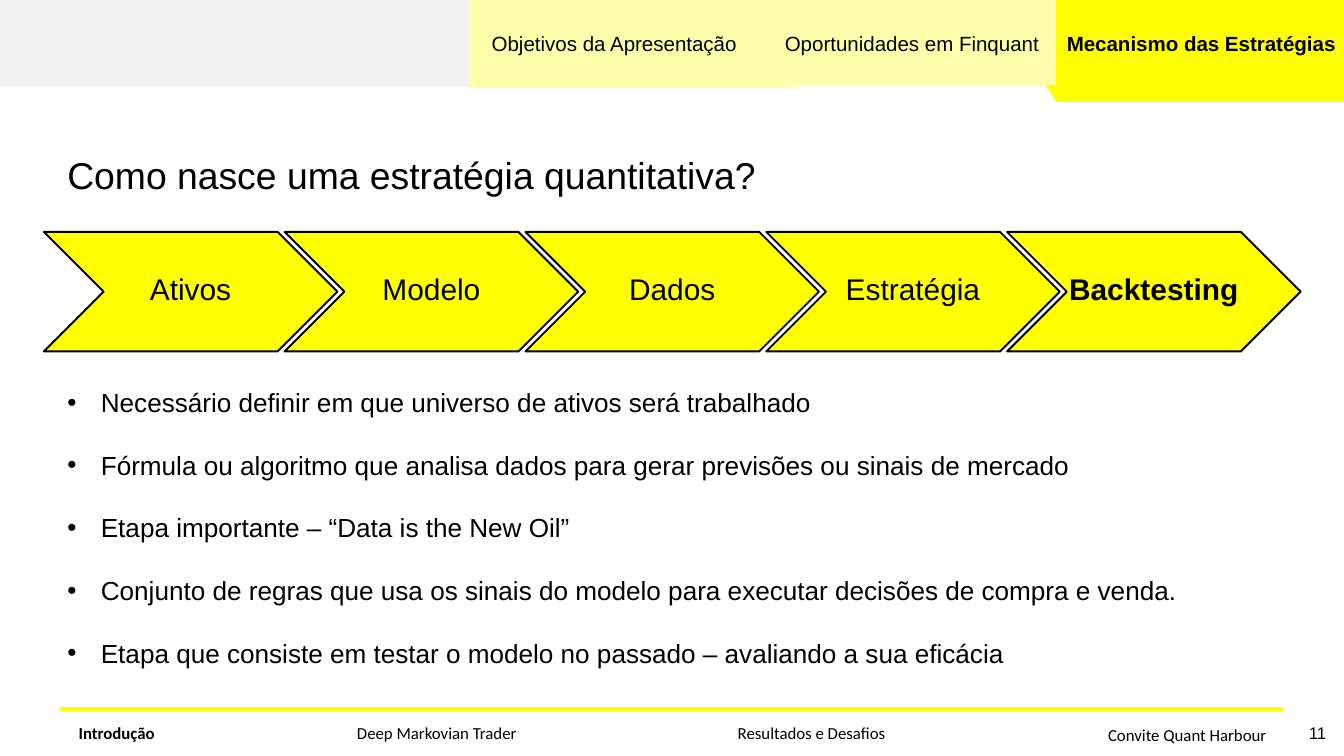
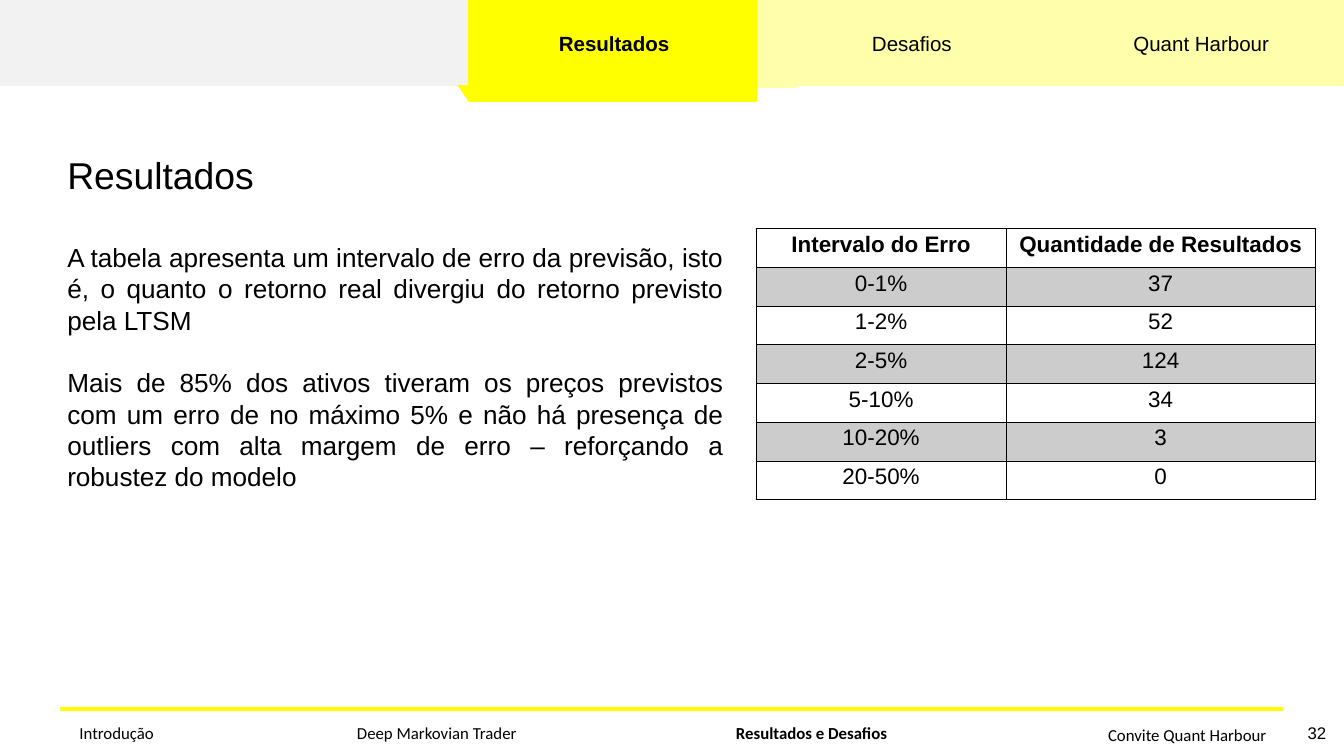
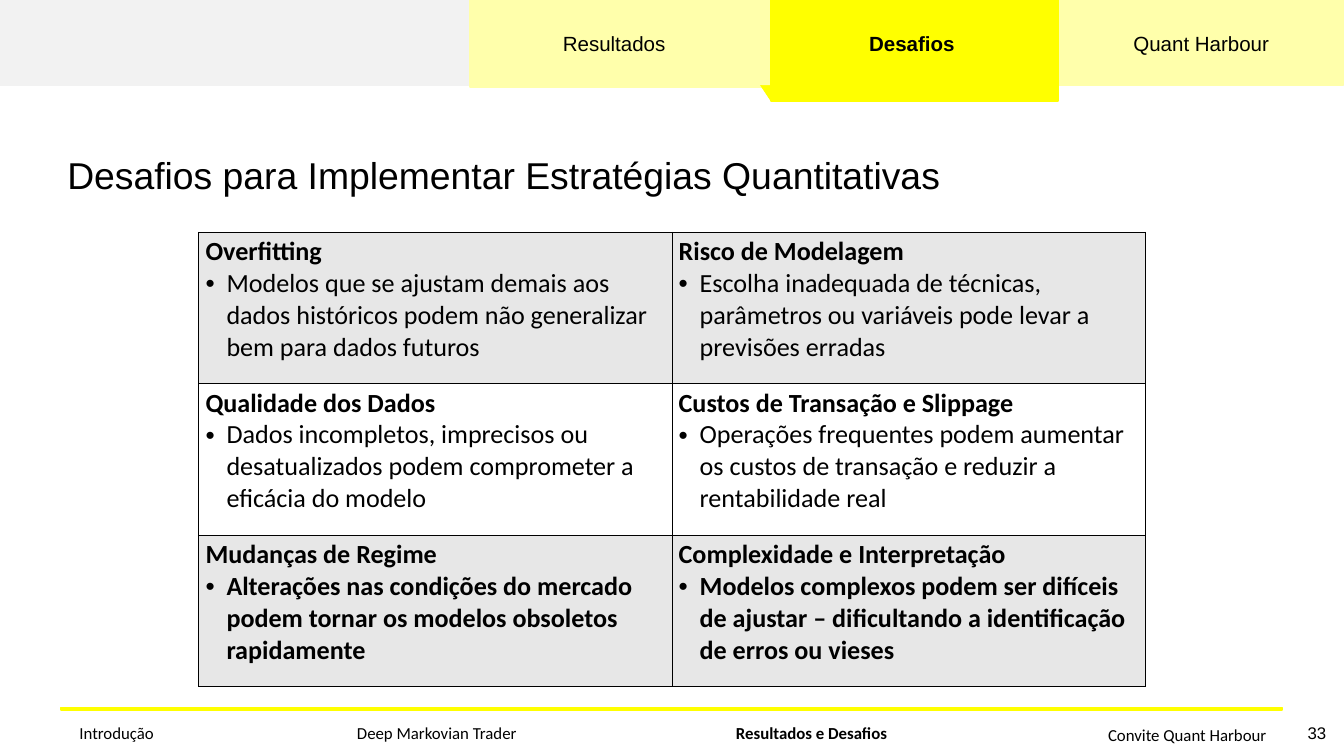
from lxml import etree
from pptx import Presentation
from pptx.dml.color import RGBColor
from pptx.enum import shapes as kinds, text as enums
from pptx.oxml import ns
from pptx.util import Pt

YELLOW, PALE, BAND, BLACK = "FFFF00", "FFFFAB", "F2F2F2", "000000"
GREY, LIGHT, WHITE = "CCCCCC", "E7E7E7", "FFFFFF"
SANS, FOOT = "Arial", "Calibri"
LEFT, CENTER = enums.PP_ALIGN.LEFT, enums.PP_ALIGN.CENTER
RIGHT, JUST = enums.PP_ALIGN.RIGHT, enums.PP_ALIGN.JUSTIFY
RECT, CHEVRON = kinds.MSO_SHAPE.RECTANGLE, kinds.MSO_SHAPE.CHEVRON
LABELS = [504, 823, 1133]
MARKS = [502, 826, 1132]
PARTS = [("Introdução", 65, 771, 120), ("Deep Markovian Trader", 348, 771, 240),
         ("Resultados e Desafios", 749.5, 771, 240),
         ("Convite Quant Harbour", 1152, 772.5, 240)]


def color(code):
    return RGBColor.from_string(code)


def paint(shape, fill, line, width=2):
    shape.shadow.inherit = False
    shape.fill.solid()
    shape.fill.fore_color.rgb = color(fill)
    shape.line.color.rgb = color(line)
    shape.line.width = Pt(width)


def block(slide, kind, box, fill, line=None):
    shape = slide.shapes.add_shape(kind, *map(Pt, box))
    paint(shape, fill, line or fill)


def style(para, size, bold=False, font=SANS, align=LEFT):
    para.alignment = align
    for run in para.runs:
        run.font.size, run.font.bold, run.font.name = Pt(size), bold, font
        run.font.color.rgb = color(BLACK)


def bullet(para, indent):
    """Give the paragraph a round bullet with a hanging indent in points."""
    props = para._p.get_or_add_pPr()
    props.set("marL", str(Pt(indent)))
    props.set("indent", str(-Pt(indent)))
    etree.SubElement(props, ns.qn("a:buFont"), typeface="Arial")
    etree.SubElement(props, ns.qn("a:buChar"), char="•")


def write(slide, box, words, size, bold=False, font=SANS, align=CENTER):
    """Add a text box, one paragraph per line of words, and return its frame."""
    frame = slide.shapes.add_textbox(*map(Pt, box)).text_frame
    frame.word_wrap = True
    frame.text = words
    for para in frame.paragraphs:
        style(para, size, bold, font, align)
    return frame


def space(para, size, after=0):
    para.line_spacing = Pt(size * 1.2)
    para.space_after = Pt(after * 1.2)


def title(slide, words):
    frame = write(slide, (65, 159, 1309, 56), words, 40, align=LEFT)
    space(frame.paragraphs[0], 40)


def header(slide, tabs, now):
    block(slide, RECT, (0, -15, 1440, 106.5), BAND)
    for left, top, width in [(504, -13.5, 348.5), (853, -15, 298), (1140.5, -15, 298)]:
        block(slide, RECT, (left, top, width, 106.5), PALE)
    mark = MARKS[now]
    pen = slide.shapes.build_freeform(Pt(mark), Pt(91.5))
    pen.add_line_segments([(Pt(mark - 11), Pt(91.5)), (Pt(mark), Pt(108))])
    paint(pen.convert_to_shape(), YELLOW, YELLOW, 0.75)
    block(slide, RECT, (mark, -15, 308, 123), YELLOW)
    for i, (left, words) in enumerate(zip(LABELS, tabs)):
        write(slide, (left, 30, 308, 34), words, 22, i == now)


def footer(slide, now, page):
    block(slide, RECT, (65, 758, 1309, 3), YELLOW)
    for i, (words, left, top, width) in enumerate(PARTS):
        write(slide, (left, top, width, 29), words, 18, i == now, FOOT)
    frame = write(slide, (1260, 771, 168, 29), str(page), 18, align=RIGHT)
    frame.vertical_anchor = enums.MSO_ANCHOR.MIDDLE


def border(cell, low=1):
    """Draw black cell edges; low is the width of the bottom one."""
    props = cell._tc.get_or_add_tcPr()
    for i, (tag, width) in enumerate([("lnL", 1), ("lnR", 1), ("lnT", 1), ("lnB", low)]):
        edge = etree.Element(ns.qn("a:" + tag), w=str(Pt(width)))
        fill = etree.SubElement(edge, ns.qn("a:solidFill"))
        etree.SubElement(fill, ns.qn("a:srgbClr"), val=BLACK)
        props.insert(i, edge)


def grid(slide, left, top, widths, height, rows, fills):
    """Add a bordered table with alternating row fills and return it."""
    shape = slide.shapes.add_table(len(rows), len(widths), Pt(left), Pt(top),
                                   Pt(sum(widths)), Pt(height * len(rows)))
    table = shape.table
    table.first_row = table.horz_banding = False
    for col, width in zip(table.columns, widths):
        col.width = Pt(width)
    for i, row in enumerate(rows):
        table.rows[i].height = Pt(height)
        for cell, words in zip(table.rows[i].cells, row):
            cell.text = words
            cell.fill.solid()
            cell.fill.fore_color.rgb = color(fills[i % 2])
    return table


def steps(slide):
    names = [("Ativos", 108), ("Modelo", 145), ("Dados", 145),
             ("Estratégia", 175), ("Backtesting", 199)]
    wide = 314.5
    for i, (name, width) in enumerate(names):
        left = 47 + 258 * i
        block(slide, CHEVRON, (left, 248.5, wide, 128), YELLOW, BLACK)
        write(slide, (left + (wide - width) / 2, 286.5, width, 46), name, 32,
              name == "Backtesting")


def points(slide):
    lines = ["Necessário definir em que universo de ativos será trabalhado",
             "Fórmula ou algoritmo que analisa dados para gerar previsões ou sinais de mercado",
             "Etapa importante – “Data is the New Oil”",
             "Conjunto de regras que usa os sinais do modelo para executar decisões de compra e venda.",
             "Etapa que consiste em testar o modelo no passado – avaliando a sua eficácia"]
    frame = write(slide, (65, 410.5, 1271, 380), "\n".join(lines), 28, align=LEFT)
    for para in frame.paragraphs:
        space(para, 28, 28)
        bullet(para, 36)


def results(slide):
    lines = ["Resultados",
             "A tabela apresenta um intervalo de erro da previsão, isto é, o quanto o retorno "
             "real divergiu do retorno previsto pela LTSM",
             "Mais de 85% dos ativos tiveram os preços previstos com um erro de no máximo 5% e "
             "não há presença de outliers com alta margem de erro – reforçando a robustez do modelo"]
    frame = write(slide, (65, 159, 716.5, 376), "\n".join(lines), 28, align=JUST)
    style(frame.paragraphs[0], 40, align=JUST)
    for para, size in zip(frame.paragraphs, [40, 28, 28]):
        space(para, size, size)


def errors(slide):
    rows = [("Intervalo do Erro", "Quantidade de Resultados"),
            ("0-1%", "37"), ("1-2%", "52"), ("2-5%", "124"),
            ("5-10%", "34"), ("10-20%", "3"), ("20-50%", "0")]
    table = grid(slide, 810, 245, [268, 331], 41.5, rows, [WHITE, GREY])
    for i, row in enumerate(table.rows):
        for cell in row.cells:
            style(cell.text_frame.paragraphs[0], 24, i == 0, align=CENTER)
            border(cell, 2 if i == 0 else 1)


def risks(slide):
    rows = [("Overfitting\nModelos que se ajustam demais aos dados históricos podem não "
             "generalizar bem para dados futuros",
             "Risco de Modelagem\nEscolha inadequada de técnicas, parâmetros ou variáveis "
             "pode levar a previsões erradas"),
            ("Qualidade dos Dados\nDados incompletos, imprecisos ou desatualizados podem "
             "comprometer a eficácia do modelo",
             "Custos de Transação e Slippage\nOperações frequentes podem aumentar os custos "
             "de transação e reduzir a rentabilidade real"),
            ("Mudanças de Regime\nAlterações nas condições do mercado podem tornar os "
             "modelos obsoletos rapidamente",
             "Complexidade e Interpretação\nModelos complexos podem ser difíceis de ajustar – "
             "dificultando a identificação de erros ou vieses")]
    table = grid(slide, 213, 249, [507, 507], 162.25, rows, [LIGHT, WHITE])
    for i, row in enumerate(table.rows):
        for cell in row.cells:
            head, body = cell.text_frame.paragraphs
            style(head, 28, True, FOOT)
            style(body, 28, i == 2, FOOT)
            bullet(body, 22.5)
            border(cell)


def main():
    deck = Presentation()
    deck.slide_width, deck.slide_height = Pt(1440), Pt(810)
    intro = ["Objetivos da Apresentação", "Oportunidades em Finquant",
             "Mecanismo das Estratégias"]
    close = ["Resultados", "Desafios", "Quant Harbour"]
    plan = [(intro, 2, 0, 11), (close, 0, 2, 32), (close, 1, 2, 33)]
    slides = []
    for tabs, tab, part, page in plan:
        slide = deck.slides.add_slide(deck.slide_layouts[6])
        header(slide, tabs, tab)
        footer(slide, part, page)
        slides.append(slide)
    first, second, third = slides
    title(first, "Como nasce uma estratégia quantitativa?")
    steps(first)
    points(first)
    results(second)
    errors(second)
    title(third, "Desafios para Implementar Estratégias Quantitativas")
    risks(third)
    deck.save("out.pptx")


if __name__ == "__main__":
    main()
